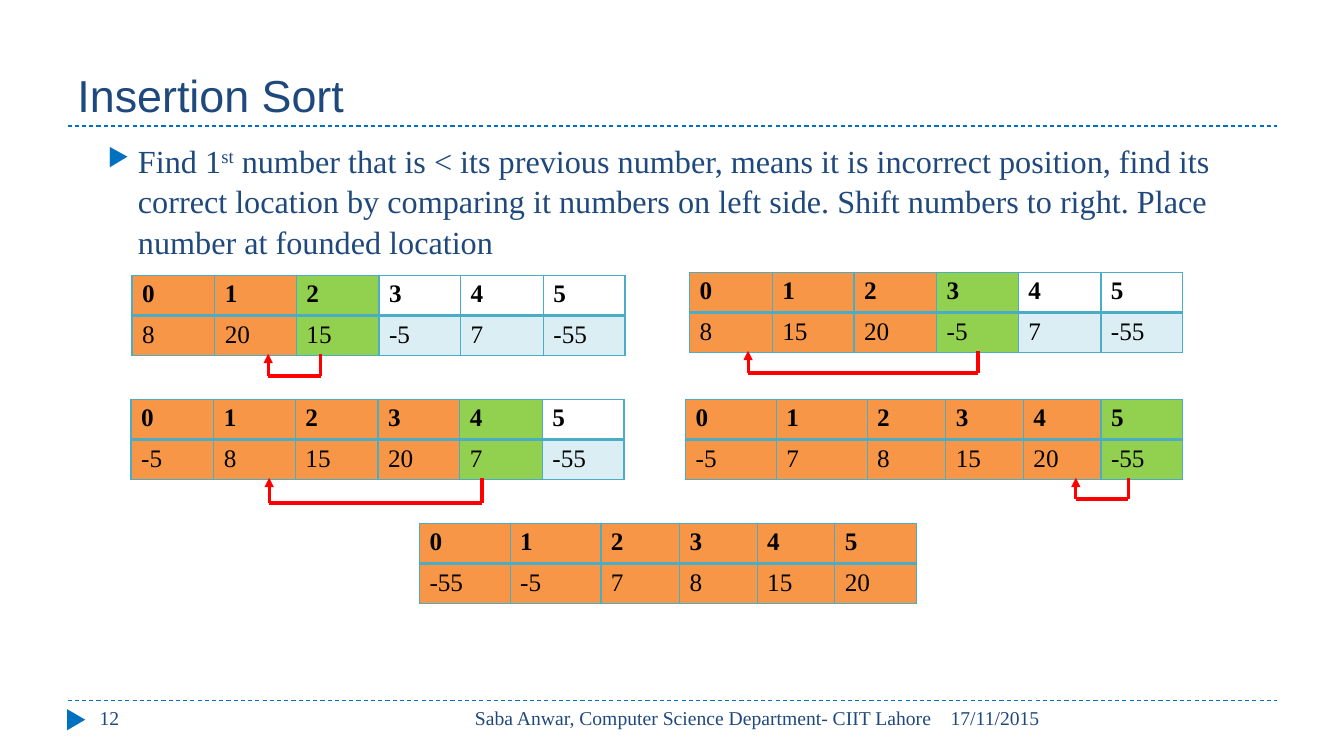
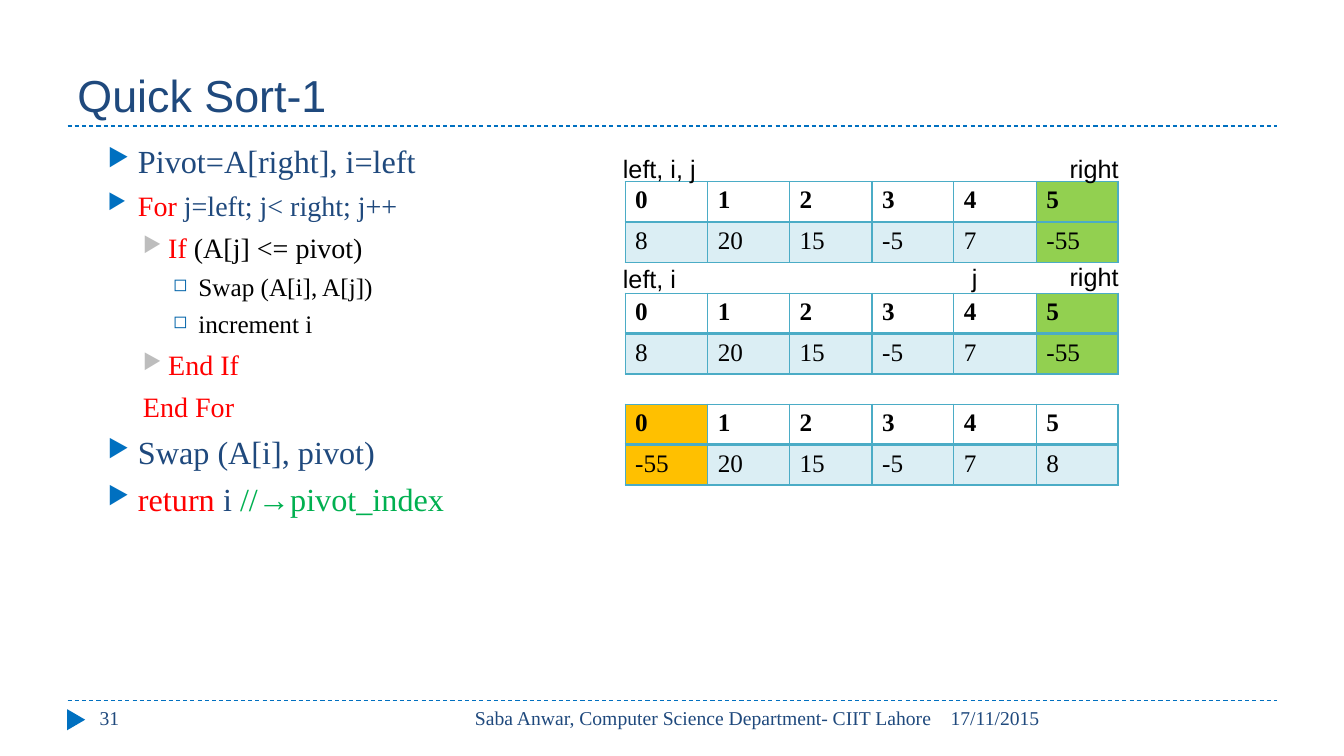
from lxml import etree
from pptx import Presentation
from pptx.dml.color import RGBColor
from pptx.enum.dml import MSO_LINE
from pptx.enum.shapes import MSO_CONNECTOR, MSO_SHAPE
from pptx.enum.text import MSO_ANCHOR, PP_ALIGN
from pptx.oxml.ns import qn
from pptx.util import Emu, Pt

STRAIGHT = MSO_CONNECTOR.STRAIGHT
TRIANGLE = MSO_SHAPE.ISOSCELES_TRIANGLE
DASH = MSO_LINE.DASH
TOP, BOTTOM = MSO_ANCHOR.TOP, MSO_ANCHOR.BOTTOM
LEFT, RIGHT = PP_ALIGN.LEFT, PP_ALIGN.RIGHT

EMU_PER_PX = 9144
SANS, SERIF = "Arial", "Times New Roman"
NAVY, BLUE, TEAL, PALE = "1F497D", "0070C0", "4BACC6", "DBEEF4"
RED, GREEN, BLACK = "FF0000", "00B050", "000000"
CELL_FILLS = {"O": "F79646", "G": "92D050", "Y": "FFC000"}

EVEN_COLUMNS = [82, 81, 82, 81, 82, 81]
UNEVEN_COLUMNS = [90, 90, 78, 77, 77, 81]

BULLETS = {
    "main": (60, -30, 5, "▶", BLUE, 76),
    "sub": (90, -25, 5, "▶", "BDBDBD", 76),
    "detail": (120, -25, 4, "◻", "0063A9", 70),
    "plain": (65, 0, 5, None, None, None),
}

INSERTION_TEXT = [
    ("main", 23, [
        ("Find 1", NAVY),
        ("st", NAVY, "30000"),
        (" number that is < its previous number, means it is incorrect position, "
         "find its correct location by comparing it numbers on left side. "
         "Shift numbers to right. Place number at founded location", NAVY),
    ]),
]
INSERTION_STEPS = [
    (131, 273, EVEN_COLUMNS, "8 20 15 -5 7 -55", "OOG...", (135, 187, 100)),
    (684, 270, EVEN_COLUMNS, "8 15 20 -5 7 -55", "OOOG..", (58, 286, 100)),
    (130, 396, EVEN_COLUMNS, "-5 8 15 20 7 -55", "OOOOG.", (137, 348, 103)),
    (680, 396, UNEVEN_COLUMNS, "-5 7 8 15 20 -55", "OOOOOG", (387, 439, 99)),
    (416, 519, UNEVEN_COLUMNS, "-55 -5 7 8 15 20", "OOOOOO", None),
]
QUICK_TEXT = [
    ("main", 23, [("Pivot=A[right], i=left", NAVY)]),
    ("main", 20, [("For", RED), (" j=left; j< right; j++", NAVY)]),
    ("sub", 20, [("If ", RED), ("(A[j] <= pivot)", BLACK)]),
    ("detail", 18, [("Swap (A[i], A[j])", BLACK)]),
    ("detail", 18, [("increment i", BLACK)]),
    ("sub", 20, [("End If", RED)]),
    ("plain", 20, [("End For", RED)]),
    ("main", 23, [("Swap (A[i], pivot)", NAVY)]),
    ("main", 23, [("return ", RED), ("i ", NAVY), ("//→pivot_index", GREEN)]),
]
QUICK_STEPS = [
    (180, 38, "8 20 15 -5 7 -55", ".....G",
     [("left, i, j", -12, -33, 93), ("right", 431, -33, 69)]),
    (291, 40, "8 20 15 -5 7 -55", ".....G",
     [("left, i", -12, -35, 73), ("j", 334, -36, 26), ("right", 431, -37, 69)]),
    (401, 40, "-55 20 15 -5 7 8", "Y.....", []),
]


def px(length):
    """Turn px into EMU."""
    return Emu(length * EMU_PER_PX)


def color(value):
    """Turn a hex string into a colour."""
    return RGBColor.from_string(value)


def set_font(font, name, size, value=None, bold=False):
    """Set the face, size, weight and colour of a font."""
    font.name, font.size, font.bold = name, Pt(size), bold
    if value:
        font.color.rgb = color(value)


def add_label(slide, box, text, name, size, value, align=LEFT, anchor=TOP, wrap=True):
    """Add a one-paragraph text box."""
    frame = slide.shapes.add_textbox(*map(px, box)).text_frame
    frame.word_wrap = wrap
    frame.vertical_anchor = anchor
    paragraph = frame.paragraphs[0]
    paragraph.text = text
    paragraph.alignment = align
    set_font(paragraph.font, name, size, value)


def add_line(shapes, start, end, value, width):
    """Add a straight line without a shadow."""
    connector = shapes.add_connector(STRAIGHT, *map(px, start + end))
    connector.line.color.rgb = color(value)
    connector.line.width = Pt(width)
    etree.SubElement(connector._element.spPr, qn("a:effectLst"))
    return connector


def add_base(presentation, title, number):
    """Add a slide with its title, rules and footer."""
    slide = presentation.slides.add_slide(presentation.slide_layouts[6])
    for y in (695, 125):
        add_line(slide.shapes, (67, y), (1267, y), BLUE, 0.75).line.dash_style = DASH
    marker = slide.shapes.add_shape(TRIANGLE, *map(px, (65, 705, 21, 18)))
    marker.rotation = 90
    marker.shadow.inherit = False
    marker.fill.solid()
    marker.fill.fore_color.rgb = color(BLUE)
    marker.line.fill.background()
    add_label(slide, (67, 17, 1200, 108), title, SANS, 32, NAVY, anchor=BOTTOM)
    for left, width, text, align in (
        (933, 334, "17/11/2015", LEFT),
        (423, 511, "Saba Anwar, Computer Science Department- CIIT Lahore", RIGHT),
        (89, 289, number, LEFT),
    ):
        add_label(slide, (left, 695, width, 40), text, SERIF, 14, NAVY, align)
    return slide


def set_bullet(paragraph, margin, indent, character, value, percent):
    """Set the indents and the bullet of a paragraph."""
    properties = paragraph._p.get_or_add_pPr()
    properties.set("marL", str(px(margin)))
    properties.set("indent", str(px(indent)))
    if character is None:
        etree.SubElement(properties, qn("a:buNone"))
        return
    bullet_color = etree.SubElement(properties, qn("a:buClr"))
    etree.SubElement(bullet_color, qn("a:srgbClr"), val=value)
    etree.SubElement(properties, qn("a:buSzPct"), val=str(percent * 1000))
    etree.SubElement(properties, qn("a:buChar"), char=character)


def add_body(slide, box, items):
    """Add the bulleted body text."""
    frame = slide.shapes.add_textbox(*map(px, box)).text_frame
    frame.word_wrap = True
    for index, (level, size, runs) in enumerate(items):
        paragraph = frame.add_paragraph() if index else frame.paragraphs[0]
        margin, indent, space, character, value, percent = BULLETS[level]
        paragraph.line_spacing = 1.05
        paragraph.space_before = Pt(space if index else 0)
        set_bullet(paragraph, margin, indent, character, value, percent)
        set_font(paragraph.font, SERIF, size)
        for text, run_color, *baseline in runs:
            run = paragraph.add_run()
            run.text = text
            run.font.color.rgb = color(run_color)
            if baseline:
                run._r.get_or_add_rPr().set("baseline", baseline[0])


def set_borders(cell, is_header):
    """Draw the cell borders, with a thicker rule under the header."""
    thick = "lnB" if is_header else "lnT"
    for side in ("lnL", "lnR", "lnT", "lnB"):
        width = Pt(2 if side == thick else 1)
        border = etree.SubElement(cell._tc.get_or_add_tcPr(), qn("a:" + side), w=str(width))
        fill = etree.SubElement(border, qn("a:solidFill"))
        etree.SubElement(fill, qn("a:srgbClr"), val=TEAL)


def add_array(slide, left, top, columns, row_height, values, marks):
    """Add an array as a row of indexes above a row of values."""
    box = (left, top, sum(columns), 2 * row_height)
    table = slide.shapes.add_table(2, len(columns), *map(px, box)).table
    for column, width in zip(table.columns, columns):
        column.width = px(width)
    for row in table.rows:
        row.height = px(row_height)
    for index, (value, mark) in enumerate(zip(values.split(), marks)):
        for row_index, text in enumerate((str(index), value)):
            is_header = row_index == 0
            cell = table.cell(row_index, index)
            set_borders(cell, is_header)
            fill = CELL_FILLS.get(mark, None if is_header else PALE)
            if fill:
                cell.fill.solid()
                cell.fill.fore_color.rgb = color(fill)
            else:
                cell.fill.background()
            paragraph = cell.text_frame.paragraphs[0]
            paragraph.text = text
            set_font(paragraph.font, SERIF, 18, BLACK, is_header)


def add_move_arrow(slide, left, top, target, source, depth):
    """Add the arrow below an array from a value to its new place."""
    shapes = slide.shapes.add_group_shape().shapes
    start, end = left + source, left + target
    upper, lower = top + 78, top + depth
    add_line(shapes, (end, lower), (start, lower), RED, 2.25)
    add_line(shapes, (start, lower), (start, upper), RED, 2.25)
    shaft = add_line(shapes, (end, lower), (end, upper), RED, 2.25)
    etree.SubElement(shaft.line._get_or_add_ln(), qn("a:tailEnd"), type="triangle")


def add_insertion_slide(presentation):
    """Add the slide on insertion sort."""
    slide = add_base(presentation, "Insertion Sort", "12")
    add_body(slide, (67, 133, 1200, 540), INSERTION_TEXT)
    for left, top, columns, values, marks, move in INSERTION_STEPS:
        add_array(slide, left, top, columns, 40, values, marks)
        if move:
            add_move_arrow(slide, left, top, *move)


def add_quick_slide(presentation):
    """Add the slide on quick sort."""
    slide = add_base(presentation, "Quick Sort-1", "31")
    add_body(slide, (67, 133, 1200, 540), QUICK_TEXT)
    left = 620
    for top, row_height, values, marks, labels in QUICK_STEPS:
        add_array(slide, left, top, EVEN_COLUMNS, row_height, values, marks)
        for text, x, y, width in labels:
            add_label(slide, (left + x, top + y, width, 40), text, SANS, 18, BLACK, wrap=False)


def main():
    """Build and save the presentation."""
    presentation = Presentation()
    presentation.slide_width, presentation.slide_height = px(1333), px(750)
    add_insertion_slide(presentation)
    add_quick_slide(presentation)
    presentation.save("out.pptx")


if __name__ == "__main__":
    main()
